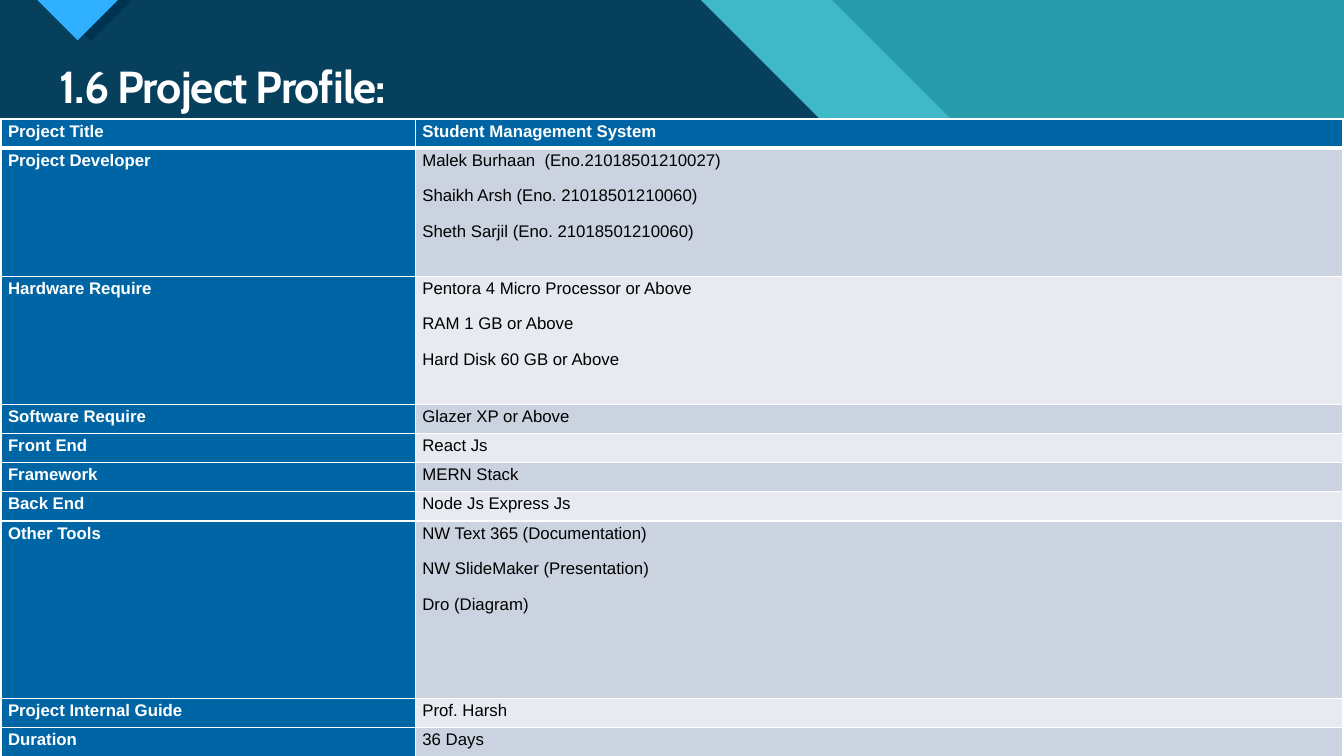
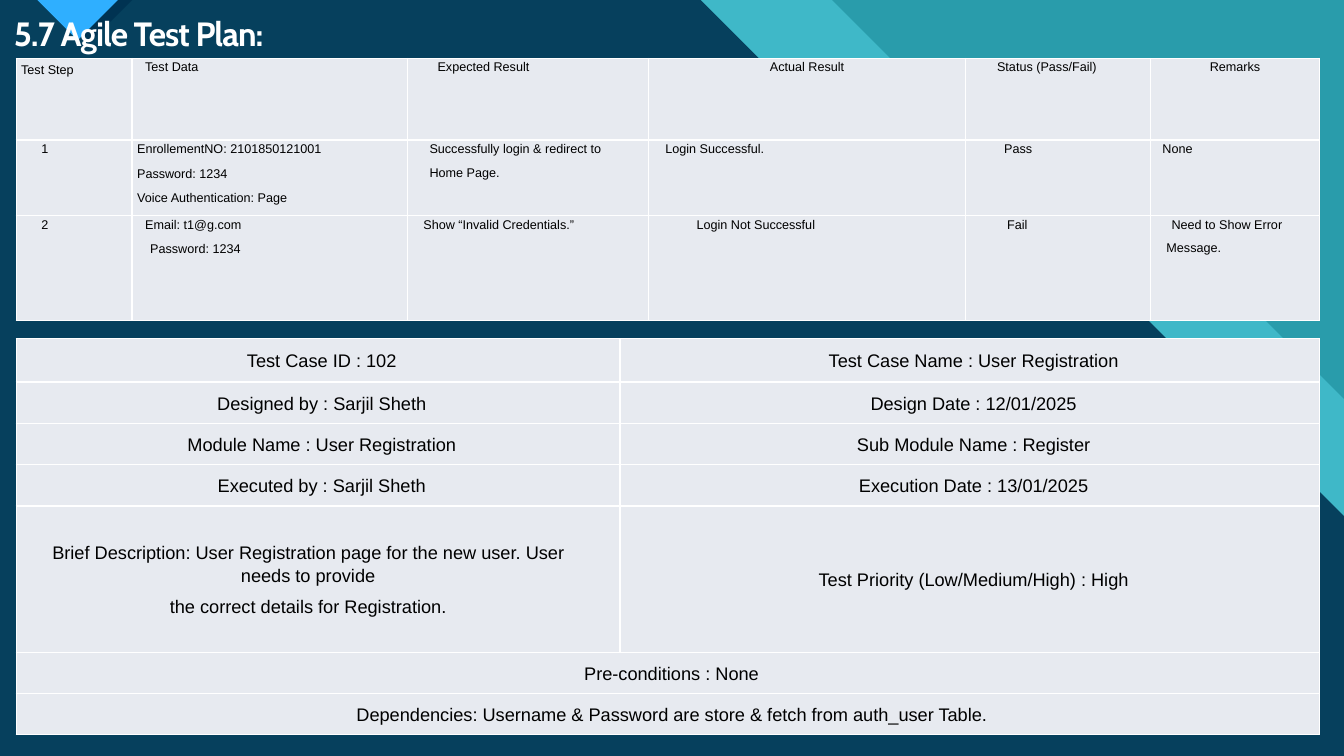
from dataclasses import dataclass
from typing import NamedTuple

from lxml import etree
from pptx import Presentation
from pptx.dml.color import RGBColor
from pptx.enum import shapes, text
from pptx.oxml import ns
from pptx.util import Inches, Pt

WIDTH, HEIGHT = 13.33, 7.5
WHITE, BLACK = "FFFFFF", "000000"
TEAL, AQUA, NAVY, SKY = "299CAB", "47C3D3", "003352", "2FAFFF"
BLUE, BAND_DARK, BAND_LIGHT = "0065A4", "CCD3E0", "E7EAF0"
LEFT, CENTER, JUSTIFY = (text.PP_ALIGN.LEFT, text.PP_ALIGN.CENTER,
                         text.PP_ALIGN.JUSTIFY)
TOP, MIDDLE = text.MSO_ANCHOR.TOP, text.MSO_ANCHOR.MIDDLE


class Outline(NamedTuple):
    points: list[tuple[float, float]]
    color: str
    opacity: int = 100


class Para(NamedTuple):
    text: str
    left: float = 0
    right: float = 0
    align: text.PP_ALIGN | None = None
    spacing: float | None = None


Cell = list[Para]


@dataclass
class Style:
    size: float
    inset: float
    spacing: float
    after: float
    align: text.PP_ALIGN = JUSTIFY
    anchor: text.MSO_ANCHOR = TOP
    left: float = 0


@dataclass
class Grid:
    x: float
    y: float
    cols: list[float]
    rows: list[float]
    cells: list[list[Cell]]
    style: Style
    profile: bool = False


BACKDROP = [
    Outline([(0, 0), (8.25, 0), (11.22, 2.97), (12.34, 2.97), (WIDTH, 3.96),
             (WIDTH, HEIGHT), (0, HEIGHT)], AQUA, 74),
    Outline([(0, 0), (6.95, 0), (9.92, 2.97), (11.18, 2.97), (WIDTH, 5.12),
             (WIDTH, HEIGHT), (0, HEIGHT)], NAVY, 90),
    Outline([(0.48, 0), (0.9, 0.41), (1.31, 0)], NAVY),
    Outline([(0.37, 0), (0.77, 0.4), (1.17, 0)], SKY),
]


def lines(*rows: str) -> Cell:
    return [Para(row) for row in rows]


PROFILE = Grid(
    0.01, 1.18, [4.11, 9.2],
    [0.29, 1.27, 1.27, 0.29, 0.29, 0.29, 0.29, 1.76, 0.29, 0.29],
    [
        [lines("Project Title"), lines("Student Management System")],
        [lines("Project Developer"),
         lines("Malek Burhaan  (Eno.21018501210027)",
               "Shaikh Arsh (Eno. 21018501210060)",
               "Sheth Sarjil (Eno. 21018501210060)")],
        [lines("Hardware Require"),
         lines("Pentora 4 Micro Processor or Above",
               "RAM 1 GB or Above", "Hard Disk 60 GB or Above")],
        [lines("Software Require"), lines("Glazer XP or Above")],
        [lines("Front End"), lines("React Js")],
        [lines("Framework"), lines("MERN Stack")],
        [lines("Back End"), lines("Node Js Express Js")],
        [lines("Other Tools"),
         lines("NW Text 365 (Documentation)",
               "NW SlideMaker (Presentation)", "Dro (Diagram)")],
        [lines("Project Internal Guide"), lines("Prof. Harsh")],
        [lines("Duration"), lines("36 Days")],
    ],
    Style(12, 0.07, 1.15, 10), profile=True)

TEST_STEPS = Grid(
    0.16, 0.58, [1.15, 2.73, 2.39, 3.15, 1.83, 1.68], [0.81, 0.75, 1.04],
    [
        [[Para("Test Step", spacing=1.3)], [Para("Test Data", 0.08)],
         [Para("Expected Result", 0.25)],
         [Para("Actual Result", align=CENTER)],
         [Para("Status (Pass/Fail)", 0.26)],
         [Para("Remarks", align=CENTER)]],
        [[Para("1", 0.2)],
         lines("EnrollementNO: 2101850121001", "Password: 1234",
               "Voice Authentication: Page"),
         [Para("Successfully login & redirect to", 0.17),
          Para("Home Page.", 0.17, spacing=1.07)],
         [Para("Login Successful.", 0.12)], [Para("Pass", 0.33)],
         [Para("None", 0.07)]],
        [[Para("2", 0.2)],
         [Para("Email: t1@g.com", 0.08), Para("Password: 1234", 0.13)],
         [Para("Show “Invalid Credentials.”", 0.11)],
         [Para("Login Not Successful", 0.43)], [Para("Fail", 0.36)],
         [Para("Need to Show Error", 0.16),
          Para("Message.", 0.11, spacing=1.08)]],
    ],
    Style(9, 0.05, 1.15, 6))

TEST_CASE = Grid(
    0.16, 3.36, [5.99, 6.94], [0.43, 0.41, 0.41, 0.41, 1.45, 0.41, 0.41],
    [
        [lines("Test Case ID : 102"),
         lines("Test Case Name : User Registration")],
        [lines("Designed by : Sarjil Sheth"),
         lines("Design Date : 12/01/2025")],
        [lines("Module Name : User Registration"),
         lines("Sub Module Name : Register")],
        [lines("Executed by : Sarjil Sheth"),
         lines("Execution Date : 13/01/2025")],
        [[Para("Brief Description: User Registration page for the new user. "
               "User needs to provide", right=0.27),
          Para("the correct details for Registration.", right=0.27)],
         lines("Test Priority (Low/Medium/High) : High")],
        [lines("Pre-conditions : None")],
        [lines("Dependencies: Username & Password are store & fetch from "
               "auth_user Table.")],
    ],
    Style(13, 0.07, 1.13, 6, CENTER, MIDDLE, 0.07))


def paint(target, color: str) -> None:
    """Give a shape or a cell a solid fill."""
    target.fill.solid()
    target.fill.fore_color.rgb = RGBColor.from_string(color)


def set_all(target, values: dict) -> None:
    for name, value in values.items():
        setattr(target, name, value)


def add_run(p, content: str, size: float, color: str, bold: bool,
            name: str = "Arial"):
    r = p.add_run()
    r.text = content
    set_all(r.font, {"size": Pt(size), "bold": bold, "name": name})
    r.font.color.rgb = RGBColor.from_string(color)
    return r


def draw_outline(slide, outline: Outline) -> None:
    points = [(Inches(x), Inches(y)) for x, y in outline.points]
    builder = slide.shapes.build_freeform(*points[0], scale=1.0)
    builder.add_line_segments(points[1:], close=True)
    sp = builder.convert_to_shape()
    sp.shadow.inherit = False
    paint(sp, outline.color)
    sp.line.fill.background()
    if outline.opacity < 100:
        color = next(sp._element.spPr.iter(ns.qn("a:srgbClr")))
        etree.SubElement(color, ns.qn("a:alpha"),
                         val=str(outline.opacity * 1000))


def draw_backdrop(slide) -> None:
    sp = slide.shapes.add_shape(shapes.MSO_SHAPE.RECTANGLE, 0, 0,
                                Inches(WIDTH), Inches(HEIGHT))
    sp.shadow.inherit = False
    paint(sp, TEAL)
    sp.line.fill.background()
    for outline in BACKDROP:
        draw_outline(slide, outline)


def draw_title(slide, content: str, x: float, y: float, height: float,
               size: float) -> None:
    sp = slide.shapes.add_textbox(Inches(x), Inches(y), Inches(12.26),
                                  Inches(height))
    tf = sp.text_frame
    set_all(tf, {"word_wrap": True, "vertical_anchor": MIDDLE})
    p = tf.paragraphs[0]
    p.line_spacing = 0.9
    r = add_run(p, content, size, WHITE, True, "Cabin")
    r.font._element.set("spc", "-70")


def set_borders(cell, top: float, bottom: float) -> None:
    tc_pr = cell._tc.get_or_add_tcPr()
    widths = {"lnL": 1, "lnR": 1, "lnT": top, "lnB": bottom}
    for i, (side, width) in enumerate(widths.items()):
        ln = etree.Element(ns.qn(f"a:{side}"), w=str(Pt(width)))
        fill = etree.SubElement(ln, ns.qn("a:solidFill"))
        etree.SubElement(fill, ns.qn("a:srgbClr"), val=WHITE)
        tc_pr.insert(i, ln)


def write_cell(cell, paras: Cell, style: Style, color: str,
               bold: bool) -> None:
    inset = Inches(style.inset)
    set_all(cell, {"margin_left": inset, "margin_right": inset,
                   "margin_top": 0, "margin_bottom": 0,
                   "vertical_anchor": style.anchor})
    tf = cell.text_frame
    for i, para in enumerate(paras):
        p = tf.add_paragraph() if i else tf.paragraphs[0]
        set_all(p, {"alignment": para.align or style.align,
                    "line_spacing": para.spacing or style.spacing,
                    "space_after": Pt(style.after)})
        p_pr = p._p.get_or_add_pPr()
        p_pr.set("marL", str(Inches(para.left or style.left)))
        p_pr.set("marR", str(Inches(para.right)))
        add_run(p, para.text, style.size, color, bold)


def draw_grid(slide, grid: Grid) -> None:
    """Draw a table; a row with one cell spans all columns."""
    table = slide.shapes.add_table(
        len(grid.rows), len(grid.cols), Inches(grid.x), Inches(grid.y),
        Inches(sum(grid.cols)), Inches(sum(grid.rows))).table
    set_all(table, {"first_row": False, "horz_banding": False})
    for column, width in zip(table.columns, grid.cols):
        column.width = Inches(width)
    for i, (height, row) in enumerate(zip(grid.rows, grid.cells)):
        table.rows[i].height = Inches(height)
        if len(row) == 1:
            table.cell(i, 0).merge(table.cell(i, len(grid.cols) - 1))
        for j, paras in enumerate(row):
            cell = table.cell(i, j)
            heading = grid.profile and (i == 0 or j == 0)
            band = BAND_DARK if grid.profile and i % 2 else BAND_LIGHT
            paint(cell, BLUE if heading else band)
            set_borders(cell, 3 if grid.profile and i == 1 else 1,
                        3 if grid.profile and i == 0 else 1)
            write_cell(cell, paras, grid.style,
                       WHITE if heading else BLACK, heading)


def main() -> None:
    prs = Presentation()
    prs.slide_width, prs.slide_height = Inches(WIDTH), Inches(HEIGHT)
    pages = [
        (("1.6 Project Profile:", 0.49, 0.59, 0.59, 32), [PROFILE]),
        (("5.7 Agile Test Plan:", 0.04, 0.12, 0.46, 24),
         [TEST_STEPS, TEST_CASE]),
    ]
    for title, grids in pages:
        slide = prs.slides.add_slide(prs.slide_layouts[6])
        draw_backdrop(slide)
        draw_title(slide, *title)
        for grid in grids:
            draw_grid(slide, grid)
    prs.save("out.pptx")


if __name__ == "__main__":
    main()
